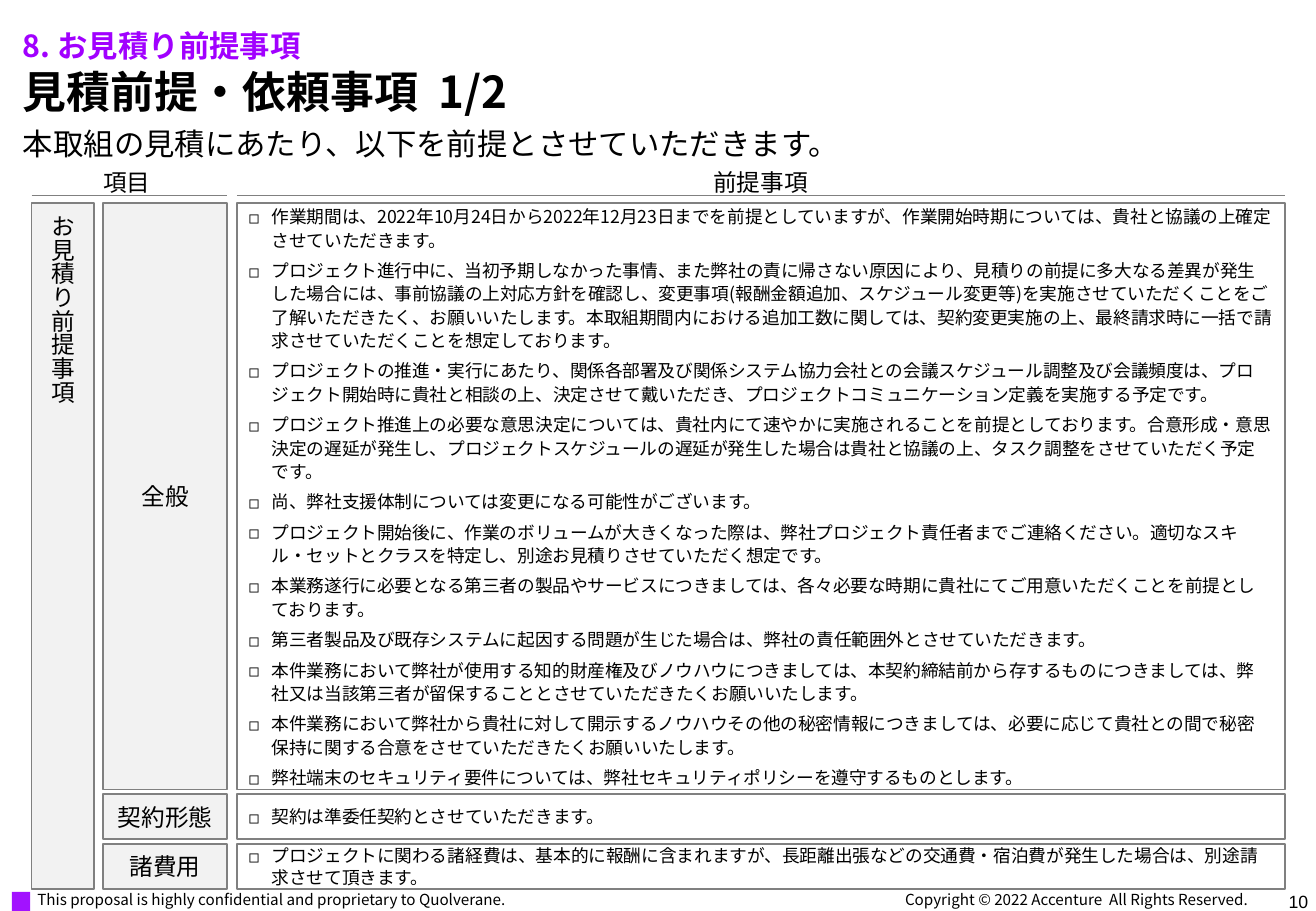
from lxml.etree import SubElement
from pptx import Presentation
from pptx.dml.color import RGBColor
from pptx.enum.lang import MSO_LANGUAGE_ID
from pptx.enum.shapes import MSO_CONNECTOR, MSO_SHAPE
from pptx.enum.text import MSO_ANCHOR, PP_ALIGN
from pptx.oxml.ns import qn
from pptx.util import Cm, Pt

FONT = "Noto Sans CJK JP"
COLORS = {"text": "000000", "section": "A100FF", "mark": "A212FF",
          "label": "F2F2F2", "line": "808080"}
SLIDE_W, SLIDE_H = 27.51, 19.05
ROW_GAP = 0.1
# Left edge and width of each column, in cm
GROUP_COL, LABEL_COL, TERMS_COL = (0.66, 1.3), (2.16, 2.59), (4.95, 21.92)

GENERAL_TERMS = [
    "作業期間は、2022年10月24日から2022年12月23日までを前提としていますが、作業開始時期については、貴社と協議の上確定させていただきます。",
    "プロジェクト進行中に、当初予期しなかった事情、また弊社の責に帰さない原因により、見積りの前提に多大なる差異が発生した場合には、事前協議の上対応方針を確認し、変更事項(報酬金額追加、スケジュール変更等)を実施させていただくことをご了解いただきたく、お願いいたします。本取組期間内における追加工数に関しては、契約変更実施の上、最終請求時に一括で請求させていただくことを想定しております。",
    "プロジェクトの推進・実行にあたり、関係各部署及び関係システム協力会社との会議スケジュール調整及び会議頻度は、プロジェクト開始時に貴社と相談の上、決定させて戴いただき、プロジェクトコミュニケーション定義を実施する予定です。",
    "プロジェクト推進上の必要な意思決定については、貴社内にて速やかに実施されることを前提としております。合意形成・意思決定の遅延が発生し、プロジェクトスケジュールの遅延が発生した場合は貴社と協議の上、タスク調整をさせていただく予定です。",
    "尚、弊社支援体制については変更になる可能性がございます。",
    "プロジェクト開始後に、作業のボリュームが大きくなった際は、弊社プロジェクト責任者までご連絡ください。適切なスキル・セットとクラスを特定し、別途お見積りさせていただく想定です。",
    "本業務遂行に必要となる第三者の製品やサービスにつきましては、各々必要な時期に貴社にてご用意いただくことを前提としております。",
    "第三者製品及び既存システムに起因する問題が生じた場合は、弊社の責任範囲外とさせていただきます。",
    "本件業務において弊社が使用する知的財産権及びノウハウにつきましては、本契約締結前から存するものにつきましては、弊社又は当該第三者が留保することとさせていただきたくお願いいたします。",
    "本件業務において弊社から貴社に対して開示するノウハウその他の秘密情報につきましては、必要に応じて貴社との間で秘密保持に関する合意をさせていただきたくお願いいたします。",
    "弊社端末のセキュリティ要件については、弊社セキュリティポリシーを遵守するものとします。",
]
# Label, height in cm, line spacing, terms
ROWS = [
    ("全般", 12.27, 1.1, GENERAL_TERMS),
    ("契約形態", 0.94, 1.0, ["契約は準委任契約とさせていただきます。"]),
    ("諸費用", 0.94, 1.0, ["プロジェクトに関わる諸経費は、基本的に報酬に含まれますが、長距離出張などの交通費・宿泊費が発生した場合は、別途請求させて頂きます。"]),
]


def rgb(name):
    return RGBColor.from_string(COLORS[name])


def add_bullet(p):
    pPr = p._p.get_or_add_pPr()
    pPr.set("marL", str(Cm(0.48)))
    pPr.set("indent", str(-Cm(0.48)))
    color = SubElement(pPr, qn("a:buClr"))
    SubElement(color, qn("a:srgbClr"), val=COLORS["text"])
    SubElement(pPr, qn("a:buFont"), typeface=FONT)
    SubElement(pPr, qn("a:buChar"), char="◻")


def write(sp, *texts, size, color="text", bold=False, font=FONT, align=PP_ALIGN.LEFT,
          anchor=MSO_ANCHOR.TOP, insets=None, wrap=True, bullet=False,
          spacing=1.0, before=0):
    """Fill a shape with one paragraph per text; insets are (sides, top and bottom) in cm."""
    tf = sp.text_frame
    tf.word_wrap = wrap
    tf.vertical_anchor = anchor
    if insets:
        tf.margin_left = tf.margin_right = Cm(insets[0])
        tf.margin_top = tf.margin_bottom = Cm(insets[1])
    for i, text in enumerate(texts):
        p = tf.paragraphs[0] if i == 0 else tf.add_paragraph()
        p.alignment = align
        p.line_spacing = spacing
        if i:
            p.space_before = Pt(before)
        if bullet:
            add_bullet(p)
        r = p.add_run()
        r.text = text
        r.font.size = Pt(size)
        r.font.bold = bold
        r.font.name = font
        r.font.color.rgb = rgb(color)
        r.font.language_id = MSO_LANGUAGE_ID.JAPANESE
        latin = r._r.rPr.find(qn("a:latin"))
        ea = SubElement(r._r.rPr, qn("a:ea"), typeface=font)
        latin.addnext(ea)


def add_text(s, x, y, w, h, text, **fmt):
    write(s.shapes.add_textbox(Cm(x), Cm(y), Cm(w), Cm(h)), text, **fmt)


def add_box(s, x, y, w, h, fill=None, line="line"):
    sp = s.shapes.add_shape(MSO_SHAPE.RECTANGLE, Cm(x), Cm(y), Cm(w), Cm(h))
    sp.shadow.inherit = False
    if fill:
        sp.fill.solid()
        sp.fill.fore_color.rgb = rgb(fill)
    else:
        sp.fill.background()
    if line:
        sp.line.color.rgb = rgb(line)
        sp.line.width = Pt(1)
    else:
        sp.line.fill.background()
    return sp


def add_heading(s, x, y, w):
    add_text(s, x, y, w, 1.02, "8. お見積り前提事項", size=18, color="section", bold=True,
             anchor=MSO_ANCHOR.BOTTOM, insets=(0, 0))
    add_text(s, x, y + 1.02, w, 1.17, "見積前提・依頼事項  1/2", size=26, bold=True,
             anchor=MSO_ANCHOR.MIDDLE, insets=(0, 0))
    add_text(s, x, y + 2.32, w, 0.79, "本取組の見積にあたり、以下を前提とさせていただきます。",
             size=18, insets=(0, 0))


def add_column_header(s, left, right, y, text, center, w):
    """Column title above a rule that runs from left to right."""
    add_text(s, center - w / 2, y, w, 0.79, text, size=14, align=PP_ALIGN.CENTER,
             insets=(0.1, 0.13))
    rule = s.shapes.add_connector(MSO_CONNECTOR.STRAIGHT, Cm(left), Cm(y + 0.71),
                                  Cm(right), Cm(y + 0.71))
    rule.line.color.rgb = rgb("line")
    rule.line.width = Pt(1)
    SubElement(rule._element.spPr, qn("a:effectLst"))


def add_terms_grid(s, top):
    """Group box at the left, then one label and one list of terms per row."""
    label_fmt = dict(size=14, align=PP_ALIGN.CENTER, anchor=MSO_ANCHOR.MIDDLE)
    height = sum(row[1] for row in ROWS) + ROW_GAP * (len(ROWS) - 1)
    group = add_box(s, GROUP_COL[0], top, GROUP_COL[1], height, "label")
    write(group, "お見積り前提事項", wrap=False, **label_fmt)
    group.text_frame._txBody.bodyPr.set("vert", "eaVert")
    y = top
    for label, h, spacing, terms in ROWS:
        write(add_box(s, LABEL_COL[0], y, LABEL_COL[1], h, "label"), label, **label_fmt)
        write(add_box(s, TERMS_COL[0], y, TERMS_COL[1], h), *terms, size=10.5, bullet=True,
              anchor=MSO_ANCHOR.MIDDLE, spacing=spacing, before=4.2)
        y += h + ROW_GAP


def add_footer(s, y):
    add_box(s, 0.25, y + 0.03, 0.38, 0.4, "mark", line=None)
    add_text(s, 0.58, y, 11.25, 0.76,
             "This proposal is highly confidential and proprietary to Quolverane.",
             size=9, insets=(0.2, 0))
    add_text(s, 18.82, y, 8.61, 0.38, "Copyright © 2022 Accenture  All Rights Reserved.",
             size=9, anchor=MSO_ANCHOR.BOTTOM, insets=(0.1, 0))
    add_text(s, 23.77, y, 3.68, 0.38, "10", size=10.5, font="Arial",
             align=PP_ALIGN.RIGHT, insets=(0.1, 0))


def main():
    prs = Presentation()
    prs.slide_width, prs.slide_height = Cm(SLIDE_W), Cm(SLIDE_H)
    s = prs.slides.add_slide(prs.slide_layouts[6])
    add_heading(s, 0.48, 0.3, 26.62)
    add_column_header(s, GROUP_COL[0], sum(LABEL_COL), 3.38, "項目", 2.65, 3.07)
    add_column_header(s, TERMS_COL[0], sum(TERMS_COL), 3.38, "前提事項", 15.9, 5.84)
    add_terms_grid(s, 4.24)
    add_footer(s, 18.62)
    prs.save("out.pptx")


if __name__ == "__main__":
    main()
